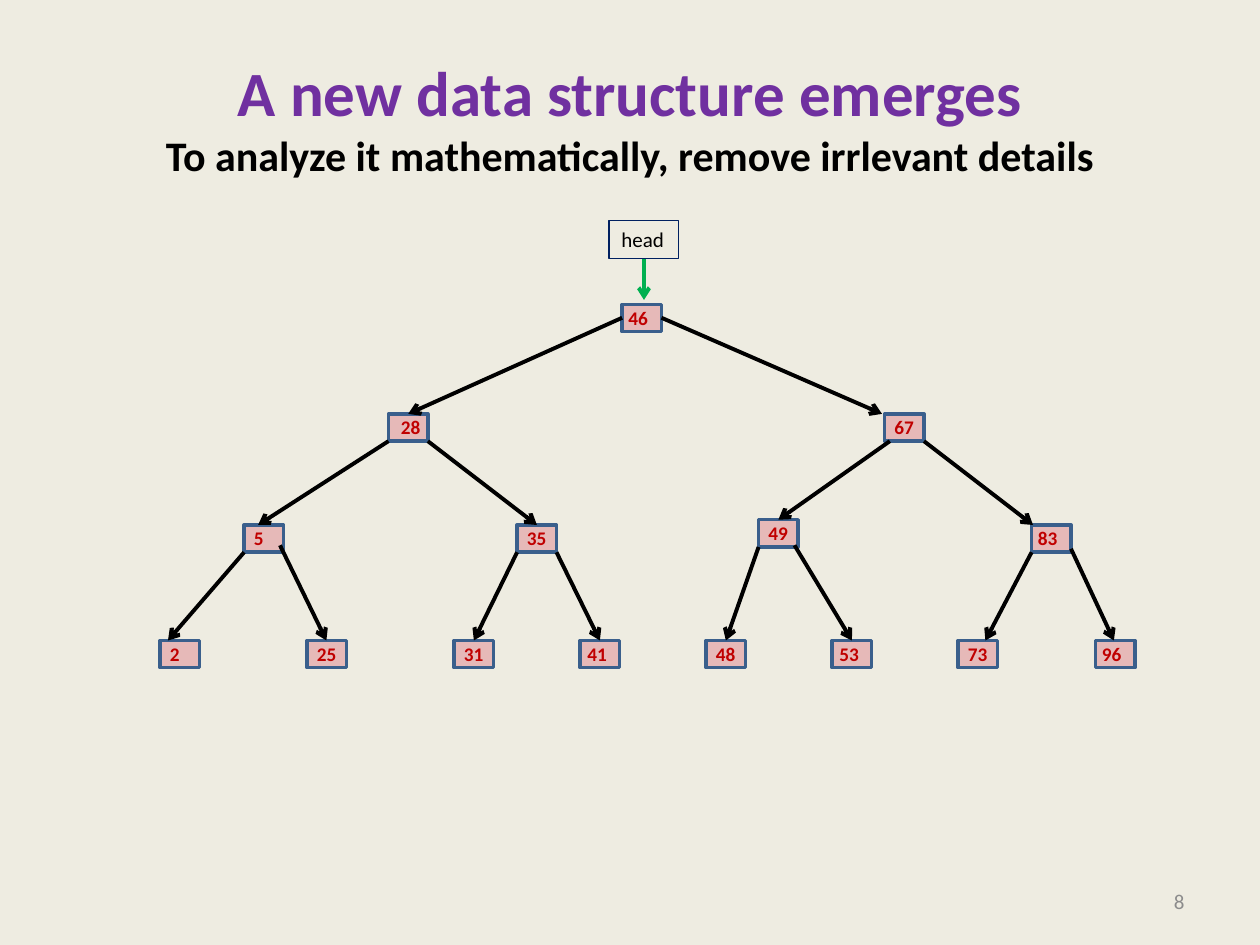
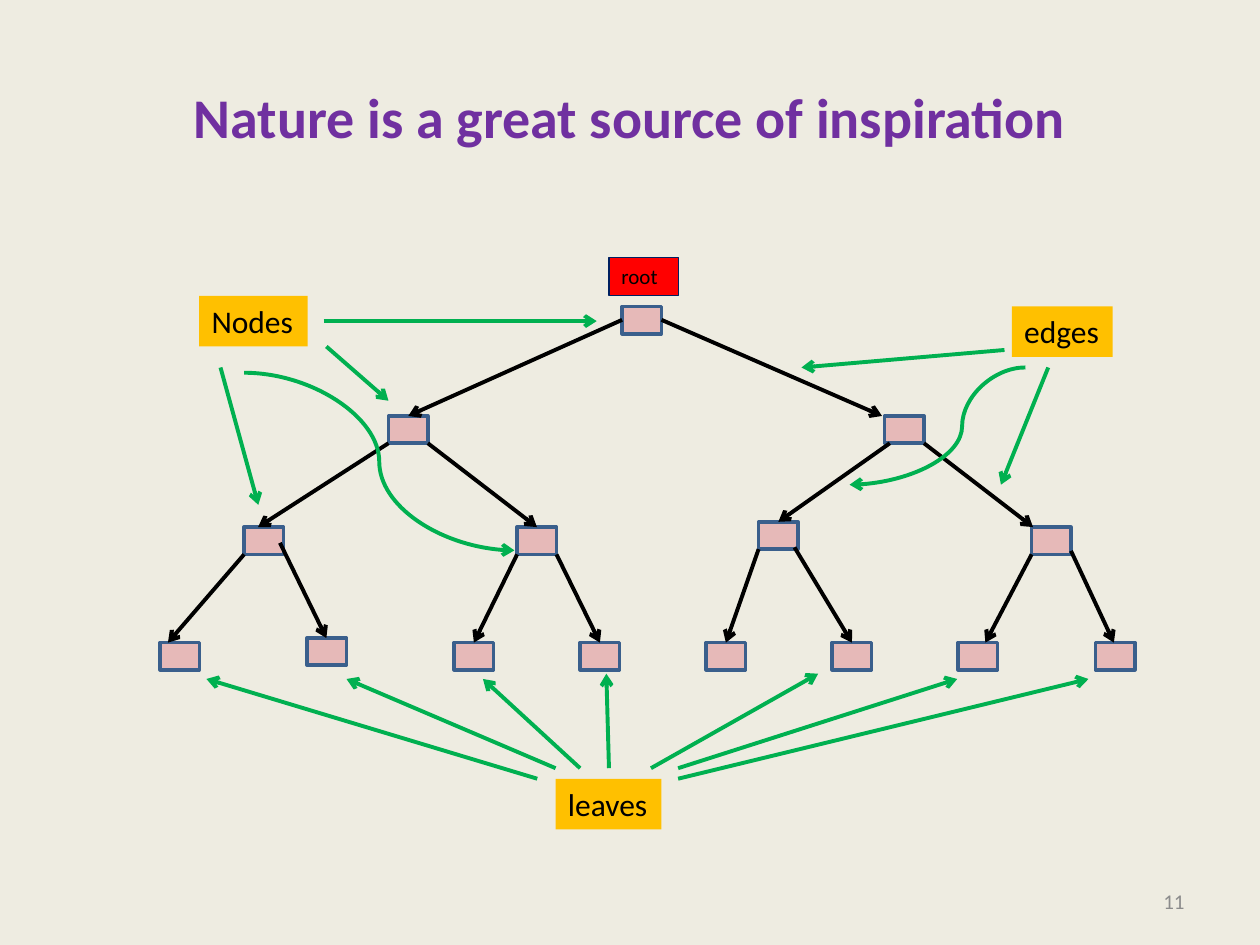
from collections import namedtuple
from dataclasses import dataclass

import lxml.etree
import pptx
import pptx.dml.color
import pptx.enum.shapes
import pptx.enum.text
import pptx.oxml.ns
import pptx.util

Pt = pptx.util.Pt
qn = pptx.oxml.ns.qn
Align = pptx.enum.text.PP_ALIGN
Anchor = pptx.enum.text.MSO_ANCHOR
Wire = pptx.enum.shapes.MSO_CONNECTOR


@dataclass(frozen=True)
class Theme:
    font: str = "Calibri"
    back: str = "EEECE1"
    title: str = "7030A0"
    ink: str = "000000"
    page: str = "8C8C8C"
    node: str = "E6B9B8"
    rim: str = "3A5F8C"
    value: str = "C00000"
    frame: str = "002060"
    root: str = "FF0000"
    tag: str = "FFC000"
    arrow: str = "00B050"
    big: int = 36
    head: int = 32
    sub: int = 24
    call: int = 18
    small: int = 12
    tiny: int = 11


# Tree in level order: value, corner, label shift, arrow tip from the left
# edge, and shift of the arrow's start from the parent's corner
Node = namedtuple("Node", "value x y label tip dx dy")
WIDE, HIGH = 22.5, 15.6
TREE = [Node(*row) for row in (
    ("46", 355.5, 174, -3.5, 0, 0, 0),
    ("28", 222, 236.5, 0, 11.3, 0, -8),
    ("67", 505.5, 236.5, -1.5, -1.5, 0, -8),
    ("5", 139.5, 300, -1.5, 8, 0, 0),
    ("35", 295.5, 300, -1.5, 11.3, 0, 0),
    ("49", 433.5, 297, -1.5, 11.3, 3, 0),
    ("83", 589.5, 300, -3.5, 0.8, 0, 0),
    ("2", 91.5, 366, -1.5, 4.5, 0, 0),
    ("25", 175.5, 366, -1.5, 11, -2, -4),
    ("31", 259.5, 366, -1.5, 11.3, 0, 0),
    ("41", 331.5, 366, -3, 11.3, 0, 0),
    ("48", 403.5, 366, -1.5, 11.3, 0, 0),
    ("53", 475.5, 366, -3, 11.3, -2, -1),
    ("73", 547.5, 366, -1.5, 15.6, 0, 0),
    ("96", 626, 366, -3.5, 10.5, 0, -2),
)]


class Deck:
    def __init__(self, theme):
        self.theme = theme
        self.file = pptx.Presentation()
        self.file.slide_width, self.file.slide_height = Pt(720), Pt(540)
        self.slide = None

    def color(self, name):
        return pptx.dml.color.RGBColor.from_string(name)

    def letter(self, shape, lines, align=Align.LEFT, anchor=Anchor.TOP, wrap=True):
        """Fill a shape with lines of (text, size, colour, bold)."""
        frame = shape.text_frame
        frame.word_wrap = wrap
        frame.vertical_anchor = anchor
        for i, (text, size, color, bold) in enumerate(lines):
            para = frame.add_paragraph() if i else frame.paragraphs[0]
            para.text = text
            para.alignment = align
            para.font.name = self.theme.font
            para.font.size = Pt(size)
            para.font.bold = bold
            para.font.color.rgb = self.color(color)

    def text(self, box, lines, **style):
        shape = self.slide.shapes.add_textbox(*map(Pt, box))
        self.letter(shape, lines, **style)

    def rect(self, box, fill=None, line=None, width=2):
        kind = pptx.enum.shapes.MSO_SHAPE.RECTANGLE
        shape = self.slide.shapes.add_shape(kind, *map(Pt, box))
        shape.shadow.inherit = False
        if fill:
            shape.fill.solid()
            shape.fill.fore_color.rgb = self.color(fill)
        else:
            shape.fill.background()
        if line:
            shape.line.color.rgb = self.color(line)
            shape.line.width = Pt(width)
        else:
            shape.line.fill.background()
        return shape

    def arrow(self, start, end, color, bend=None):
        kind = Wire.STRAIGHT if bend is None else Wire.CURVE
        wire = self.slide.shapes.add_connector(kind, *map(Pt, (*start, *end)))
        wire.line.color.rgb = self.color(color)
        wire.line.width = Pt(2.25)
        props = wire.element.spPr
        lxml.etree.SubElement(props.find(qn("a:ln")), qn("a:tailEnd"), type="arrow")
        lxml.etree.SubElement(props, qn("a:effectLst"))
        if bend is not None:
            geom = props.find(qn("a:prstGeom"))
            guides = geom.find(qn("a:avLst"))
            if guides is None:
                guides = lxml.etree.SubElement(geom, qn("a:avLst"))
            lxml.etree.SubElement(guides, qn("a:gd"), name="adj1",
                                  fmla=f"val {round(bend * 100000)}")

    def page(self, title, number):
        """Start a slide with its title lines and page number."""
        look = self.theme
        self.slide = self.file.slides.add_slide(self.file.slide_layouts[6])
        self.slide.background.fill.solid()
        self.slide.background.fill.fore_color.rgb = self.color(look.back)
        self.text((36, 21.6, 648, 90), title, align=Align.CENTER, anchor=Anchor.MIDDLE)
        self.text((516, 500.5, 168, 28.8), [(number, look.small, look.page, False)],
                  align=Align.RIGHT, anchor=Anchor.MIDDLE)

    def tree(self, drop=0, lift=None):
        """Draw nodes and edges, lowered by drop; lift overrides it by value."""
        look = self.theme
        drops = [(lift or {}).get(node.value, drop) for node in TREE]
        for node, down in zip(TREE, drops):
            self.rect((node.x, node.y + down, WIDE, HIGH), look.node, look.rim)
        for i, (node, down) in enumerate(zip(TREE, drops)):
            if i:
                top = TREE[(i - 1) // 2]
                side = 0 if i % 2 else WIDE
                self.arrow((top.x + side + node.dx, top.y + HIGH + node.dy + down),
                           (node.x + node.tip, node.y + down), look.ink)

    def values(self):
        look = self.theme
        for node in TREE:
            wide = 20.4 if len(node.value) == 1 else 26
            self.text((node.x + node.label, node.y - 2.6, wide, 20.6),
                      [(node.value, look.tiny, look.value, True)], wrap=False)

    def sign(self, text, top, fill=None):
        """Framed name above the root."""
        look = self.theme
        shape = self.rect((348, top, 39.6, 21.8), fill, look.frame, 0.75)
        self.letter(shape, [(text, look.small, look.ink, False)])

    def call(self, text, box, rays):
        """Tag with straight arrows to the parts it names."""
        look = self.theme
        shape = self.rect(box, look.tag)
        self.letter(shape, [(text, look.call, look.ink, False)], wrap=False)
        for start, end in rays:
            self.arrow(start, end, look.arrow)


def main():
    look = Theme()
    deck = Deck(look)

    # Search tree with values
    deck.page([("A new data structure emerges", look.big, look.title, True),
               ("To analyze it mathematically, remove irrlevant details",
                look.sub, look.ink, True)], "8")
    deck.tree()
    deck.arrow((368, 147.6), (368, 171.4), look.arrow)
    deck.sign("head", 126)
    deck.values()

    # Bare tree with its parts named
    deck.page([("Nature is a great source of inspiration", look.head, look.title, True)],
              "11")
    deck.tree(drop=1.2, lift={"25": -1.4})
    deck.sign("root", 147, look.root)
    deck.call("leaves", (317.5, 445, 60.5, 29), [
        ((387.5, 439), (547, 388)),
        ((348, 439), (346.5, 385)),
        ((317.5, 439), (198, 388)),
        ((372, 439), (467.5, 385)),
        ((331.5, 439), (276, 388)),
        ((307, 445), (118, 388)),
        ((387.5, 445), (622, 388)),
    ])
    deck.call("edges", (578.2, 175, 57.6, 29), [
        ((574, 200), (458, 210)),
        ((599, 210), (572, 277)),
    ])
    deck.arrow((586, 210), (485.5, 277), look.arrow, bend=0.36)
    deck.call("Nodes", (113.8, 169, 62, 29), [
        ((185, 183.5), (341, 183.5)),
        ((186.5, 198), (222, 229)),
        ((126, 210), (147.6, 288.5)),
    ])
    deck.arrow((139.5, 213), (294, 314.5), look.arrow, bend=0.5)

    deck.file.save("out.pptx")


if __name__ == "__main__":
    main()
